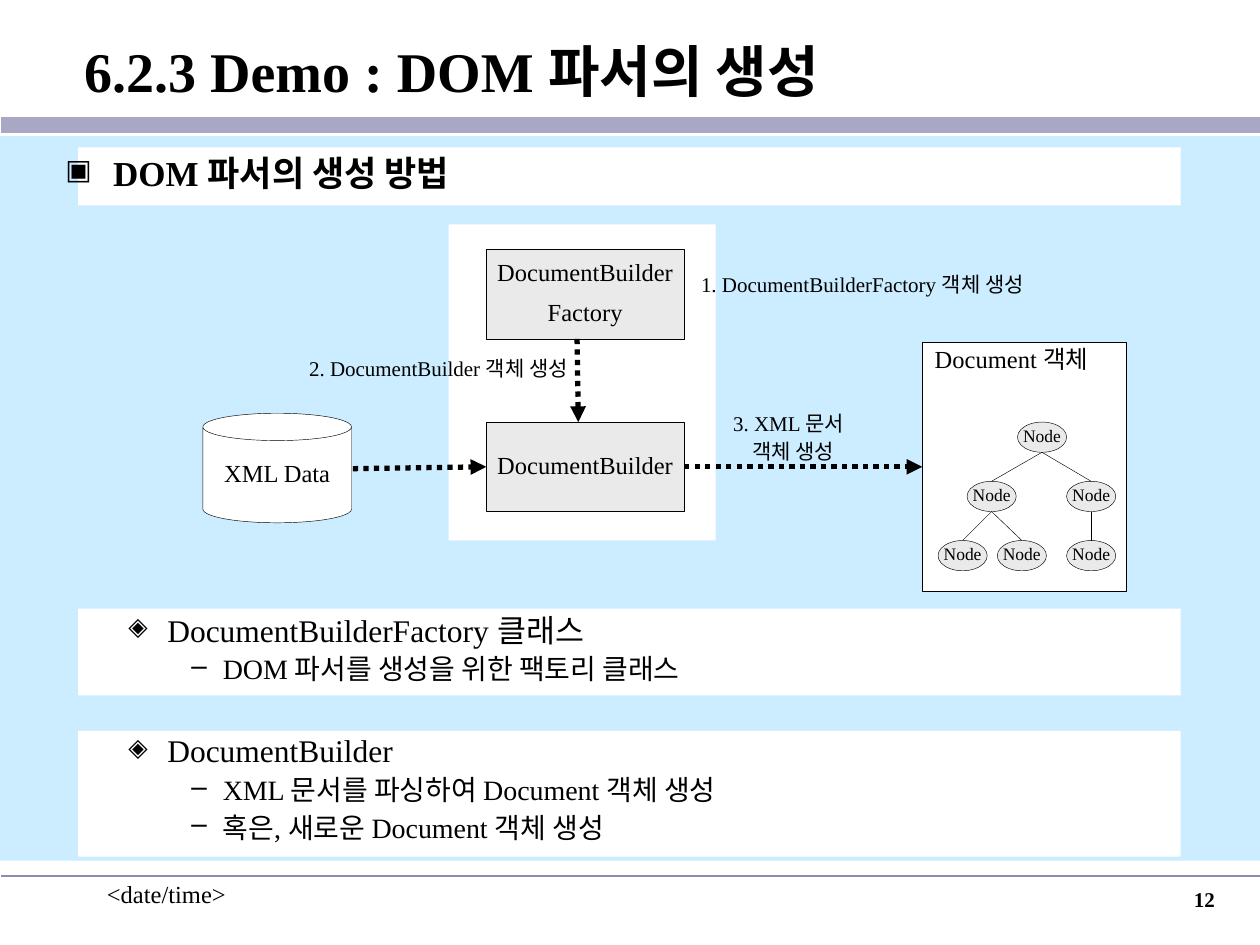
"""Builds the slide on creating a DOM parser, on a grid of 100 columns by 75 rows."""
from dataclasses import dataclass
from typing import NamedTuple, Optional

from lxml import etree
from pptx import Presentation
from pptx import util as u
from pptx.dml.color import RGBColor
from pptx.enum import dml, shapes, text
from pptx.oxml import ns

COLUMNS, ROWS = 100, 75
FONT = "Times New Roman"
BLACK, WHITE, GREY, SKY, LILAC, SLATE = "000000", "FFFFFF", "EAEAEA", "CCECFF", "A8A8C4", "8C8CB2"
LEFT, CENTER, RIGHT = text.PP_ALIGN.LEFT, text.PP_ALIGN.CENTER, text.PP_ALIGN.RIGHT
TOP, MIDDLE = text.MSO_ANCHOR.TOP, text.MSO_ANCHOR.MIDDLE
RECT, OVAL, CAN = (shapes.MSO_SHAPE.RECTANGLE, shapes.MSO_SHAPE.OVAL, shapes.MSO_SHAPE.CAN)

deck = Presentation()
deck.slide_width, deck.slide_height = u.Inches(10), u.Inches(7.5)
slide = deck.slides.add_slide(deck.slide_layouts[6])


class Area(NamedTuple):
    """Left column, top row, columns wide and rows high."""
    column: float
    row: float
    columns: float
    rows: float


class Point(NamedTuple):
    """A column and a row."""
    column: float
    row: float


@dataclass(frozen=True)
class Style:
    """How one paragraph is set; margin and hanging are in columns."""
    size: float
    bold: bool = False
    align: int = LEFT
    spacing: float = 1.0
    before: float = 0
    margin: float = 0
    hanging: float = 0
    bullet: str = ""
    bullet_size: int = 100


@dataclass(frozen=True)
class Line:
    """One paragraph of text with its style."""
    words: str
    style: Style


TITLE = Style(32, bold=True, margin=5.6)
HEADING = Style(20, True, LEFT, 0.9, 5, 3.8, 3.8, "▣", 80)
TOPIC = Style(18, False, LEFT, 0.9, 4.5, 8.1, 3.1, "◈", 80)
DETAIL = Style(16, False, LEFT, 0.9, 4, 12.5, 2.5, "–")
BOX = Style(14, align=CENTER, spacing=0.85, before=8.8)
CORNER = Style(14, spacing=0.85, before=8.8)
STEP = Style(12, align=CENTER, spacing=0.85, before=7.5)
STEP_START = Style(12, spacing=0.85, before=7.5)
STEP_END = Style(12, spacing=0.5, before=7.5, margin=1.5)
NODE = Style(10, align=CENTER, spacing=0.85, before=6.2)


def col(count: float) -> int:
    """Length of a number of columns."""
    return round(deck.slide_width * count / COLUMNS)


def row(count: float) -> int:
    """Length of a number of rows."""
    return round(deck.slide_height * count / ROWS)


def place(area: Area) -> tuple:
    """Left, top, width and height of an area."""
    return col(area.column), row(area.row), col(area.columns), row(area.rows)


def color(hex_code: str) -> RGBColor:
    """Colour from a hex string."""
    return RGBColor.from_string(hex_code)


def add_bullet(properties, style: Style) -> None:
    """Adds a black bullet to the paragraph properties."""
    tint = etree.SubElement(properties, ns.qn("a:buClr"))
    etree.SubElement(tint, ns.qn("a:srgbClr"), val=BLACK)
    etree.SubElement(properties, ns.qn("a:buSzPct"), val=str(style.bullet_size * 1000))
    etree.SubElement(properties, ns.qn("a:buChar"), char=style.bullet)


def write(frame, lines: list[Line], anchor: int = TOP, wrap: bool = True) -> None:
    """Fills a text frame with styled paragraphs."""
    frame.text = "\n".join(line.words for line in lines)
    frame.word_wrap, frame.vertical_anchor = wrap, anchor
    for paragraph, line in zip(frame.paragraphs, lines):
        style = line.style
        paragraph.alignment = style.align
        paragraph.line_spacing, paragraph.space_before = style.spacing, u.Pt(style.before)
        properties = paragraph._p.get_or_add_pPr()
        properties.set("marL", str(col(style.margin)))
        properties.set("indent", str(-col(style.hanging)))
        if style.bullet:
            add_bullet(properties, style)
        for run in paragraph.runs:
            run.font.name, run.font.size, run.font.bold = FONT, u.Pt(style.size), style.bold
            run.font.color.rgb = color(BLACK)


def add_label(area: Area, lines: list[Line], anchor: int = TOP, wrap: bool = True) -> None:
    """Adds a text box."""
    write(slide.shapes.add_textbox(*place(area)).text_frame, lines, anchor, wrap)


def add_block(area: Area, fill: str, kind: int = RECT, lines: Optional[list[Line]] = None,
              anchor: int = MIDDLE):
    """Adds a filled shape, outlined when it carries text."""
    block = slide.shapes.add_shape(kind, *place(area))
    block.shadow.inherit = False
    block.fill.solid()
    block.fill.fore_color.rgb = color(fill)
    if lines:
        block.line.color.rgb, block.line.width = color(BLACK), u.Pt(0.25)
        write(block.text_frame, lines, anchor, wrap=False)
    else:
        block.line.fill.background()
    return block


def add_line(start: Point, end: Point, stroke: str = BLACK, width: float = 0.25):
    """Adds a straight line."""
    line = slide.shapes.add_connector(shapes.MSO_CONNECTOR.STRAIGHT, col(start.column),
                                      row(start.row), col(end.column), row(end.row))
    line.line.color.rgb, line.line.width = color(stroke), u.Pt(width)
    etree.SubElement(line._element.spPr, ns.qn("a:effectLst"))
    return line


def add_arrow(start: Point, end: Point):
    """Adds a thick dotted arrow."""
    arrow = add_line(start, end, width=3)
    arrow.line.dash_style = dml.MSO_LINE.ROUND_DOT
    etree.SubElement(arrow.line._get_or_add_ln(), ns.qn("a:tailEnd"), type="triangle")
    return arrow


def add_tree(centers: list[Point], edges: list[tuple[int, int]]) -> None:
    """Adds the nodes of the document tree and the lines between them."""
    width, height = 3.9, 2.4
    for center in centers:
        add_block(Area(center.column - width / 2, center.row - height / 2, width, height),
                  GREY, OVAL, [Line("Node", NODE)])
    for parent, child in edges:
        add_line(Point(centers[parent].column, centers[parent].row + height / 2),
                 Point(centers[child].column, centers[child].row - height / 2))


def main() -> None:
    """Draws the slide and saves it."""
    add_label(Area(7.5, 69.3, 20.8, 5), [Line("<date/time>", Style(14))])
    for height, stroke, width in ((9.9, LILAC, 9.25), (69.5, SLATE, 1)):
        add_line(Point(0.1, height), Point(COLUMNS, height), stroke, width)

    add_block(Area(0, 10.8, COLUMNS, 57.5), SKY)
    add_block(Area(35.6, 17.8, 21.2, 25.1), WHITE)
    for top, rows in ((11.7, 4.6), (48.3, 6.9), (58, 10)):
        add_block(Area(6.2, top, 87.5, rows), WHITE)

    add_label(Area(0.1, 1.1, 99.9, 9), [Line("6.2.3 Demo : DOM 파서의 생성", TITLE)], MIDDLE)
    for top, rows, lines in (
            (11.9, 4.4, [Line("DOM 파서의 생성 방법", HEADING)]),
            (48.3, 6.9, [Line("DocumentBuilderFactory 클래스", TOPIC),
                         Line("DOM 파서를 생성을 위한 팩토리 클래스", DETAIL)]),
            (57.9, 10, [Line("DocumentBuilder", TOPIC),
                        Line("XML 문서를 파싱하여 Document 객체 생성", DETAIL),
                        Line("혹은, 새로운 Document 객체 생성", DETAIL)])):
        add_label(Area(4.2, top, 91.6, rows), lines)

    add_block(Area(38.6, 19.8, 15.7, 7.1), GREY,
              lines=[Line("DocumentBuilder", BOX), Line("Factory", BOX)])
    builder = add_block(Area(38.6, 33.5, 15.7, 7.1), GREY, lines=[Line("DocumentBuilder", BOX)])
    document = add_block(Area(73.2, 27.2, 16.2, 19.7), WHITE,
                         lines=[Line("Document 객체", CORNER)], anchor=TOP)
    add_block(Area(16.1, 32.8, 11.8, 8.7), WHITE, CAN, [Line("XML Data", BOX)])

    add_arrow(Point(45.8, 26.9), Point(45.9, 33.5))
    parsing = add_arrow(Point(54.3, 37.1), Point(73.2, 37))
    parsing.begin_connect(builder, 3)
    parsing.end_connect(document, 1)
    add_arrow(Point(28, 37.2), Point(38.6, 37.1)).end_connect(builder, 1)

    add_label(Area(54.2, 21.4, 28.5, 2.7),
              [Line("1. DocumentBuilderFactory 객체 생성", STEP)], wrap=False)
    add_label(Area(23.1, 28, 23.4, 2.7), [Line("2. DocumentBuilder 객체 생성", STEP)], wrap=False)
    add_label(Area(57.2, 32.4, 11.5, 4.8),
              [Line("3. XML 문서", STEP_START), Line("객체 생성", STEP_END)], wrap=False)

    levels = ((82.7,), (78.7, 86.6), (76.4, 81.1, 86.6))
    add_tree([Point(column, 34.7 + 4.7 * depth)
              for depth, level in enumerate(levels) for column in level],
             [(0, 1), (0, 2), (1, 3), (1, 4), (2, 5)])

    add_label(Area(76.6, 69.9, 20.8, 5), [Line("12", Style(12, bold=True, align=RIGHT))])
    deck.save("out.pptx")


if __name__ == "__main__":
    main()
